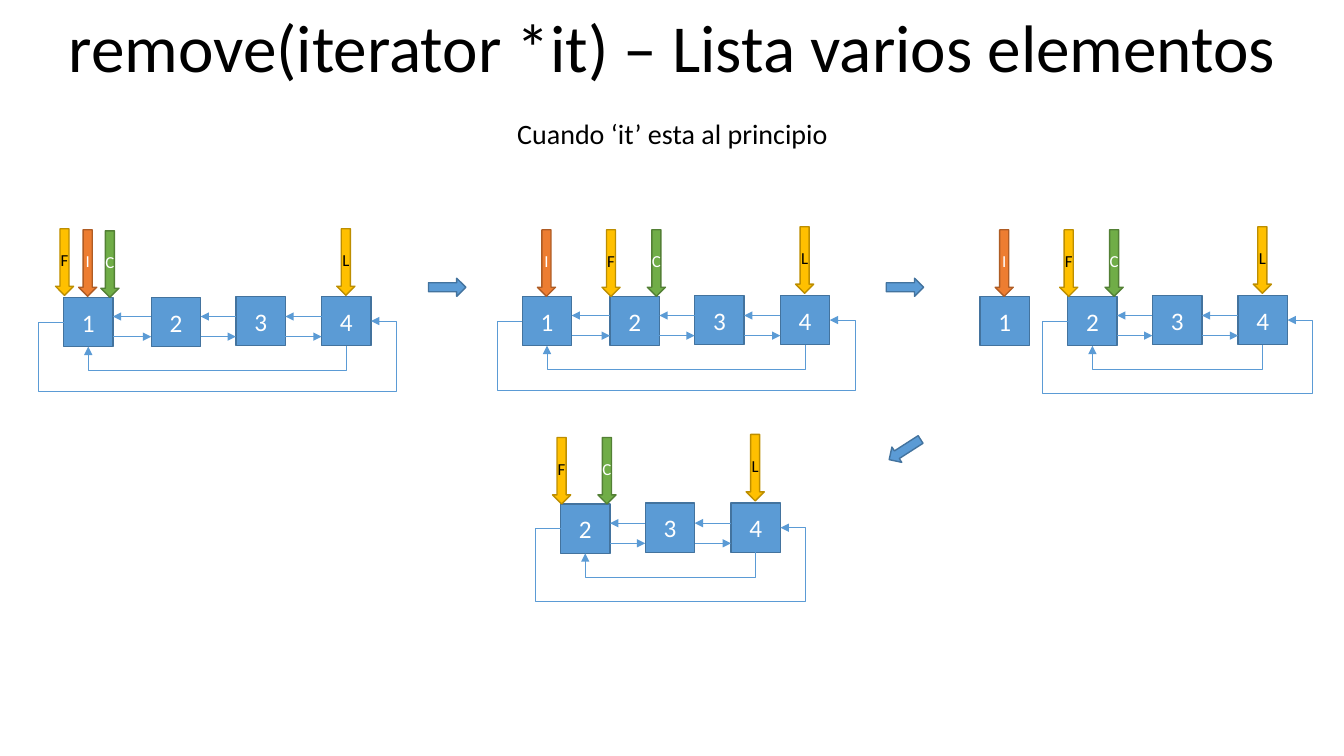
from lxml import etree
from pptx import Presentation
from pptx import util as u
from pptx.dml.color import RGBColor
from pptx.enum import shapes, text
from pptx.oxml.ns import qn

FONT = "Calibri"
BLUE, BLUE_EDGE = "5B9BD5", "43739E"
SIDE = 0.49
MID = SIDE / 2
LOOP = 0.25  # distance a loop keeps from the nodes
STEP = 0.01  # height difference between the first and the last node
NODES = {1: (0, 0), 2: (0.87, 0), 3: (1.71, -STEP), 4: (2.56, -STEP)}
POINTER_W, POINTER_H = 0.18, 0.66
# letter: offset from the node, fill, edge, letter colour
POINTERS = {
    "F": (-0.08, "FFC000", "BD8E00", "000000"),
    "I": (0.15, "ED7D31", "AF5C24", "FFFFFF"),
    "C": (0.37, "70AD47", "538035", "FFFFFF"),
    "L": (0.15, "FFC000", "BD8E00", "000000"),
}


def rgb(value):
    return RGBColor.from_string(value)


def add_text(tf, words, size, color):
    p = tf.paragraphs[0]
    p.alignment = text.PP_ALIGN.CENTER
    r = p.add_run()
    r.text = words
    r.font.name = FONT
    r.font.size = u.Pt(size)
    r.font.color.rgb = rgb(color)


def add_block(parent, kind, box, fill, edge):
    sp = parent.add_shape(kind, *map(u.Inches, box))
    sp.shadow.inherit = False
    sp.fill.solid()
    sp.fill.fore_color.rgb = rgb(fill)
    sp.line.color.rgb = rgb(edge)
    sp.line.width = u.Pt(1)
    return sp


def add_label(sp, words, size, color):
    tf = sp.text_frame
    tf.margin_left = tf.margin_right = tf.margin_top = tf.margin_bottom = 0
    tf.word_wrap = False
    tf.vertical_anchor = text.MSO_ANCHOR.MIDDLE
    add_text(tf, words, size, color)


def add_arrow(parent, kind, x1, y1, x2, y2):
    c = parent.add_connector(kind, *map(u.Inches, (x1, y1, x2, y2)))
    c.line.color.rgb = rgb(BLUE)
    c.line.width = u.Pt(0.5)
    ln = c.line._get_or_add_ln()
    etree.SubElement(ln, qn("a:tailEnd"), type="triangle")
    etree.SubElement(c._element.spPr, qn("a:effectLst"))
    return c


def add_loop(parent, box, preset, turn, flip, adjusts):
    """Elbow connector in the box, turned by degrees, with adjusts as ratios."""
    x, y, w, h = box
    c = add_arrow(parent, shapes.MSO_CONNECTOR.ELBOW, x, y, x + w, y + h)
    xfrm = c._element.spPr.find(qn("a:xfrm"))
    xfrm.set("rot", str(turn * 60000))
    if flip:
        xfrm.set("flipH", "1")
    geom = c._element.spPr.find(qn("a:prstGeom"))
    geom.set("prst", preset)
    guides = geom.find(qn("a:avLst"))
    for i, ratio in enumerate(adjusts, 1):
        etree.SubElement(guides, qn("a:gd"), name=f"adj{i}" if preset else "adj",
                         fmla=f"val {round(ratio * 100000)}")


def add_list(s, x, y, nodes, first, pointers, drop):
    """List whose node 1 sits at x, y; nodes from first to 4 are linked."""
    grp = s.shapes.add_group_shape().shapes
    for n in nodes:
        dx, dy = NODES[n]
        sp = add_block(grp, shapes.MSO_SHAPE.RECTANGLE,
                       (x + dx, y + dy, SIDE, SIDE), BLUE, BLUE_EDGE)
        add_label(sp, str(n), 18, "FFFFFF")

    for n in range(first, 4):
        right, left = x + NODES[n][0] + SIDE, x + NODES[n + 1][0]
        straight = shapes.MSO_CONNECTOR.STRAIGHT
        add_arrow(grp, straight, left, y + 0.19, right, y + 0.19)
        add_arrow(grp, straight, right, y + 0.39, left, y + 0.39)

    start = x + NODES[first][0]
    span = NODES[4][0] - NODES[first][0]
    center = start + MID + span / 2
    bottom = y + SIDE
    add_loop(grp, (center - STEP / 2, bottom - STEP / 2 - span / 2, STEP, span),
             "bentConnector3", 90, False, [LOOP / STEP])
    width = span + SIDE
    add_loop(grp, (start, y + MID - STEP, width, STEP), "bentConnector5", 180, True,
             [-LOOP / width, -drop / STEP, 1 + LOOP / width])

    for letter, n, lift in pointers:
        dx, fill, edge, color = POINTERS[letter]
        box = (x + NODES[n][0] + dx, y - lift, POINTER_W, POINTER_H)
        sp = add_block(grp, shapes.MSO_SHAPE.DOWN_ARROW, box, fill, edge)
        add_label(sp, letter, 12, color)


def add_flow_arrow(s, x, y, turn=0):
    sp = add_block(s.shapes, shapes.MSO_SHAPE.RIGHT_ARROW,
                   (x, y, 0.37, 0.18), BLUE, BLUE_EDGE)
    sp.rotation = turn


def add_heading(sp, box, words, size):
    sp.left, sp.top, sp.width, sp.height = map(u.Inches, box)
    tf = sp.text_frame
    tf.word_wrap = True
    tf.auto_size = text.MSO_AUTO_SIZE.NONE
    tf.vertical_anchor = text.MSO_ANCHOR.TOP
    add_text(tf, words, size, "000000")


def main():
    prs = Presentation()
    prs.slide_width, prs.slide_height = u.Inches(13.33), u.Inches(7.5)
    s = prs.slides.add_slide(prs.slide_layouts[5])
    add_heading(s.shapes.title, (0.01, 0, 13.32, 0.91),
                "remove(iterator *it) – Lista varios elementos", 48)
    add_heading(s.shapes.add_textbox(0, 0, 0, 0), (0.01, 1.11, 13.32, 0.44),
                "Cuando ‘it’ esta al principio", 20)

    moved = [("F", 2, 0.66), ("C", 2, 0.66), ("L", 4, 0.69)]
    marked = moved + [("I", 1, 0.66)]
    add_list(s, 0.63, 2.95, [1, 2, 3, 4], 1,
             [("F", 1, 0.68), ("I", 1, 0.67), ("C", 1, 0.66), ("L", 4, 0.68)], 0.7)
    add_list(s, 5.18, 2.94, [1, 2, 3, 4], 1, marked, 0.7)
    add_list(s, 9.72, 2.94, [1, 2, 3, 4], 2, marked, 0.73)
    add_list(s, 4.69, 5, [2, 3, 4], 2, moved, 0.73)

    add_flow_arrow(s, 4.25, 2.76)
    add_flow_arrow(s, 8.79, 2.76)
    add_flow_arrow(s, 8.79, 4.37, 147.3)
    prs.save("out.pptx")


if __name__ == "__main__":
    main()
